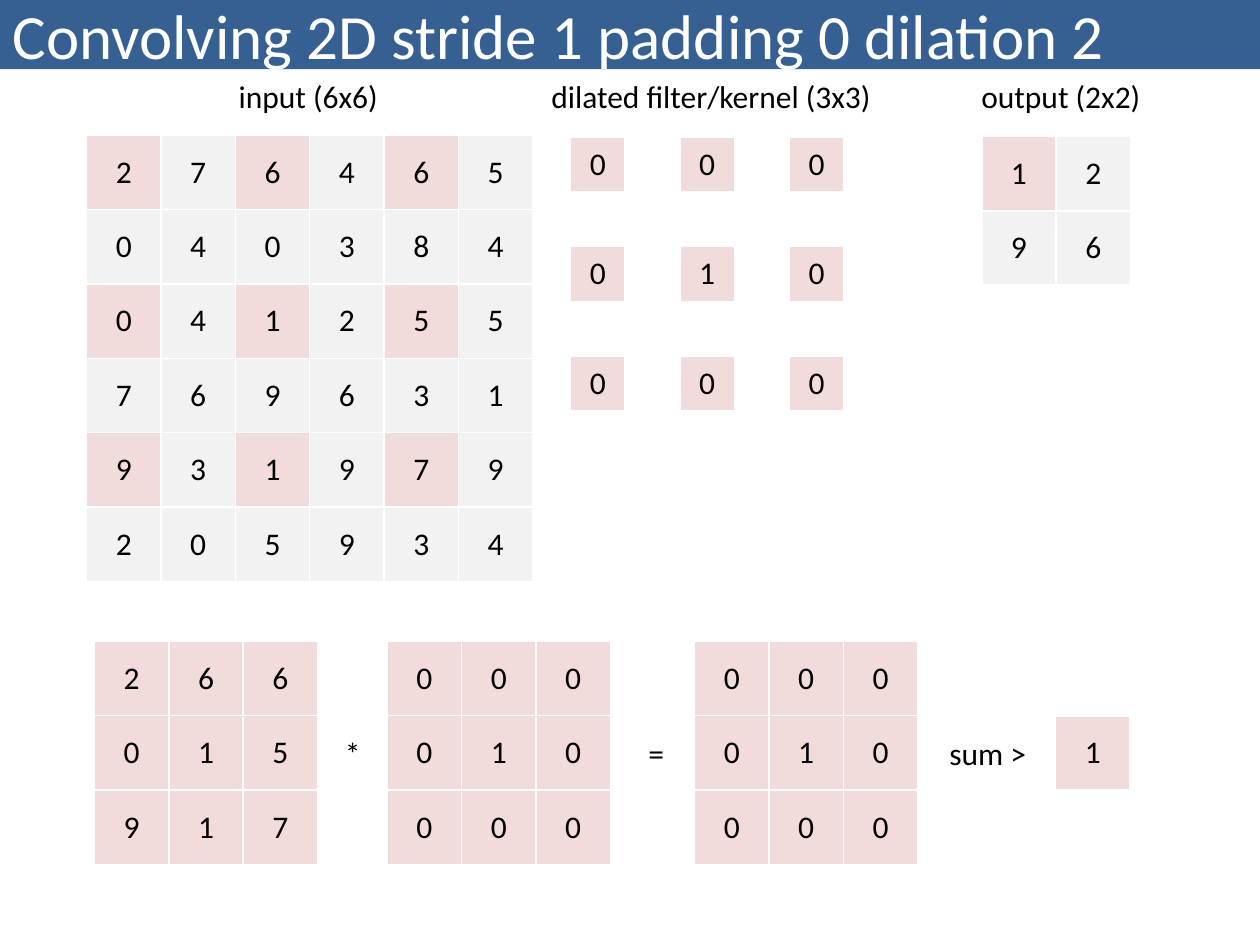
import pptx
import pptx.dml.color
import pptx.enum.text
import pptx.oxml
import pptx.oxml.ns
import pptx.util
from pptx.util import Pt

COLORS = {
    "banner": "376092",
    "selected": "F2DCDB",
    "plain": "F2F2F2",
    "text": "000000",
    "white": "FFFFFF",
}
CELL = 42.5
DILATED_CELL = 31.25
DILATION = 2

INPUT = [
    [2, 7, 6, 4, 6, 5],
    [0, 4, 0, 3, 8, 4],
    [0, 4, 1, 2, 5, 5],
    [7, 6, 9, 6, 3, 1],
    [9, 3, 1, 9, 7, 9],
    [2, 0, 5, 9, 3, 4],
]
KERNEL = [[0, 0, 0], [0, 1, 0], [0, 0, 0]]


def window(row, col):
    """Input values under the dilated kernel placed at row, col."""
    reach = DILATION * len(KERNEL)
    return [line[col:col + reach:DILATION] for line in INPUT[row:row + reach:DILATION]]


def multiply(first, second):
    return [[a * b for a, b in zip(*rows)] for rows in zip(first, second)]


def total(grid):
    return sum(map(sum, grid))


def on_lattice(row, col):
    return row % DILATION == 0 and col % DILATION == 0 and max(row, col) < DILATION * len(KERNEL)


class SlideBuilder:
    font = "Calibri"
    body_size = 18
    title_size = 36

    def __init__(self, slide):
        self.slide = slide

    def color(self, name):
        return pptx.dml.color.RGBColor.from_string(COLORS[name])

    def format_text(self, frame, size, color):
        for paragraph in frame.paragraphs:
            for run in paragraph.runs:
                run.font.name = self.font
                run.font.size = Pt(size)
                run.font.color.rgb = self.color(color)

    def title(self, text, width, height):
        banner = self.slide.shapes.title
        banner.left, banner.top, banner.width, banner.height = Pt(0), Pt(0), Pt(width), Pt(height)
        banner.fill.solid()
        banner.fill.fore_color.rgb = self.color("banner")
        frame = banner.text_frame
        frame.text = text
        frame.auto_size = pptx.enum.text.MSO_AUTO_SIZE.NONE
        frame.vertical_anchor = pptx.enum.text.MSO_ANCHOR.MIDDLE
        frame.paragraphs[0].alignment = pptx.enum.text.PP_ALIGN.LEFT
        self.format_text(frame, self.title_size, "white")

    def label(self, text, left, top, width):
        frame = self.slide.shapes.add_textbox(Pt(left), Pt(top), Pt(width), Pt(29)).text_frame
        frame.text = text
        frame.word_wrap = False
        frame.auto_size = pptx.enum.text.MSO_AUTO_SIZE.SHAPE_TO_FIT_TEXT
        self.format_text(frame, self.body_size, "text")

    def borders(self, cell):
        properties = cell._tc.get_or_add_tcPr()
        for side in "LRTB":
            properties.append(pptx.oxml.parse_xml(
                f'<a:ln{side} {pptx.oxml.ns.nsdecls("a")} w="{Pt(1)}"><a:solidFill>'
                f'<a:srgbClr val="{COLORS["white"]}"/></a:solidFill></a:ln{side}>'))

    def matrix(self, values, left, top, size=CELL, selected=lambda row, col: True):
        """Square-celled table; a None value leaves its cell empty and unfilled."""
        rows, cols = len(values), len(values[0])
        table = self.slide.shapes.add_table(
            rows, cols, Pt(left), Pt(top), Pt(cols * size), Pt(rows * size)).table
        table.first_row = table.horz_banding = False
        for band in table.columns:
            band.width = Pt(size)
        for band in table.rows:
            band.height = Pt(size)
        for row, line in enumerate(values):
            for col, value in enumerate(line):
                cell = table.cell(row, col)
                self.borders(cell)
                if value is None:
                    cell.fill.background()
                    continue
                cell.fill.solid()
                cell.fill.fore_color.rgb = self.color("selected" if selected(row, col) else "plain")
                cell.vertical_anchor = pptx.enum.text.MSO_ANCHOR.MIDDLE
                cell.text_frame.text = str(value)
                cell.text_frame.paragraphs[0].alignment = pptx.enum.text.PP_ALIGN.CENTER
                self.format_text(cell.text_frame, self.body_size, "text")


def main():
    presentation = pptx.Presentation()
    presentation.slide_width, presentation.slide_height = Pt(720), Pt(540)
    builder = SlideBuilder(presentation.slides.add_slide(presentation.slide_layouts[5]))
    builder.title("Convolving 2D stride 1 padding 0 dilation 2", 720, 39.5)

    # Headings
    for heading, left, width in (("input (6x6)", 129.3, 95),
                                 ("dilated filter/kernel (3x3)", 308, 199.5),
                                 ("output (2x2)", 553.7, 106.5)):
        builder.label(heading, left, 40.5, width)

    # Input, dilated kernel and output
    span = DILATION * (len(KERNEL) - 1) + 1
    dilated = [[KERNEL[row // DILATION][col // DILATION] if on_lattice(row, col) else None
                for col in range(span)] for row in range(span)]
    steps = range(len(INPUT) - span + 1)
    output = [[total(multiply(window(row, col), KERNEL)) for col in steps] for row in steps]
    builder.matrix(INPUT, 49.5, 77.3, selected=on_lattice)
    builder.matrix(dilated, 326, 78.5, size=DILATED_CELL)
    builder.matrix(output, 561, 78, selected=lambda row, col: row == col == 0)

    # Worked example for the first output value
    example_top = 366.5
    product = multiply(window(0, 0), KERNEL)
    for values, left in ((window(0, 0), 54), (KERNEL, 221.3), (product, 396.9)):
        builder.matrix(values, left, example_top)
    builder.matrix([[total(product)]], 603.2, example_top + CELL)
    for sign, left, width in (("*", 190, 23.5), ("=", 363.4, 24), ("sum >", 535.4, 59)):
        builder.label(sign, left, 415.8, width)

    presentation.save("out.pptx")


if __name__ == "__main__":
    main()
